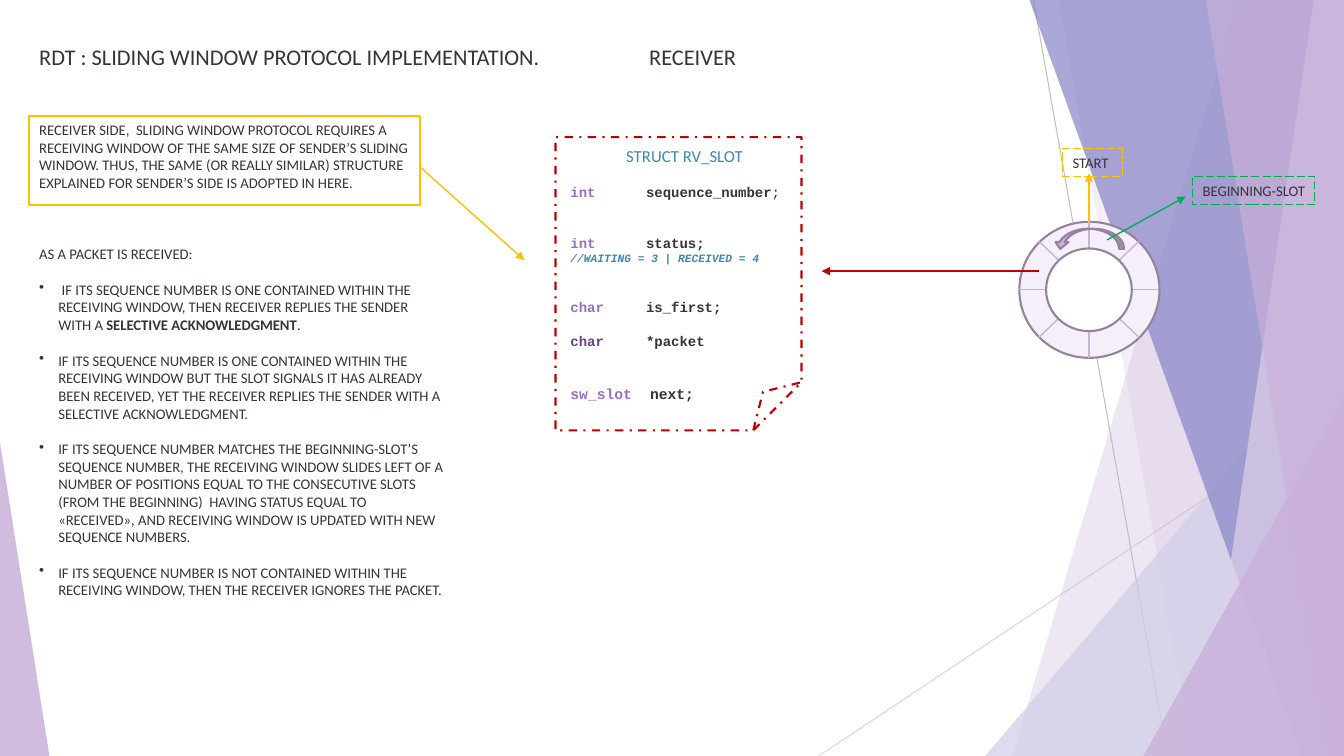
from dataclasses import dataclass

from lxml.etree import SubElement
from pptx import Presentation
from pptx.dml.color import RGBColor
from pptx.enum.dml import MSO_LINE
from pptx.enum.shapes import MSO_CONNECTOR, MSO_SHAPE
from pptx.enum.text import PP_ALIGN
from pptx.oxml.ns import qn
from pptx.util import Inches, Pt


@dataclass(frozen=True)
class Theme:
    ink: str = "393339"
    white: str = "FFFFFF"
    lilac: str = "CAB0DA"
    pale_lilac: str = "DFD0E9"
    mist: str = "D0CFE9"
    indigo: str = "8684C6"
    ring: str = "F4EFF8"
    ring_edge: str = "9582A1"
    grey: str = "BFBFBF"
    pale_grey: str = "D9D9D9"
    amber: str = "FFC000"
    red: str = "C00000"
    green: str = "00B050"
    blue: str = "3D88B1"
    keyword: str = "9D6DBB"
    dark_keyword: str = "6B3F86"
    sans: str = "Calibri"
    mono: str = "Courier New"
    title: float = 16
    heading: float = 12
    body: float = 10.5
    code: float = 10
    comment: float = 8


T = Theme()

INTRO = ("RECEIVER SIDE,  SLIDING WINDOW PROTOCOL REQUIRES A RECEIVING WINDOW OF THE SAME SIZE "
         "OF SENDER’S SLIDING WINDOW. THUS, THE SAME (OR REALLY SIMILAR) STRUCTURE EXPLAINED "
         "FOR SENDER’S SIDE IS ADOPTED IN HERE.")
CASES = [
    [(" IF ITS SEQUENCE NUMBER IS ONE CONTAINED WITHIN THE RECEIVING WINDOW, THEN RECEIVER "
      "REPLIES THE SENDER WITH A ", False), ("SELECTIVE ACKNOWLEDGMENT", True), (".", False)],
    [("IF ITS SEQUENCE NUMBER IS ONE CONTAINED WITHIN THE RECEIVING WINDOW BUT THE SLOT SIGNALS "
      "IT HAS ALREADY BEEN RECEIVED, YET THE RECEIVER REPLIES THE SENDER WITH A SELECTIVE "
      "ACKNOWLEDGMENT.", False)],
    [("IF ITS SEQUENCE NUMBER MATCHES THE BEGINNING-SLOT’S SEQUENCE NUMBER, THE RECEIVING WINDOW "
      "SLIDES LEFT OF A NUMBER OF POSITIONS EQUAL TO THE CONSECUTIVE SLOTS (FROM THE BEGINNING)  "
      "HAVING STATUS EQUAL TO «RECEIVED», AND RECEIVING WINDOW IS UPDATED WITH NEW SEQUENCE "
      "NUMBERS.", False)],
    [("IF ITS SEQUENCE NUMBER IS NOT CONTAINED WITHIN THE RECEIVING WINDOW, THEN THE RECEIVER "
      "IGNORES THE PACKET.", False)],
]


def rgb(color):
    return RGBColor.from_string(color)


def paint(shape, fill=None, line=None, width=1.5, alpha=None, dash=None):
    """Set fill, opacity in percent and outline; None means no fill or no line."""
    shape.shadow.inherit = False
    if fill:
        shape.fill.solid()
        shape.fill.fore_color.rgb = rgb(fill)
        if alpha:
            color = shape._element.spPr.find(qn("a:solidFill"))[0]
            SubElement(color, qn("a:alpha"), val=str(alpha * 1000))
    else:
        shape.fill.background()
    if line:
        shape.line.color.rgb = rgb(line)
        shape.line.width = Pt(width)
        if dash:
            shape.line.dash_style = dash
    else:
        shape.line.fill.background()


def set_adjustments(shape, guides):
    geometry = shape._element.spPr.find(qn("a:prstGeom"))
    for old in geometry.findall(qn("a:avLst")):
        geometry.remove(old)
    values = SubElement(geometry, qn("a:avLst"))
    for name, value in guides.items():
        SubElement(values, qn("a:gd"), name=name, fmla=f"val {round(value * 100000)}")


def add_shape(shapes, kind, box, guides=None, rotation=0, **style):
    sp = shapes.add_shape(kind, *map(Inches, box))
    if guides:
        set_adjustments(sp, guides)
    sp.rotation = rotation
    paint(sp, **style)
    return sp


def add_polygon(shapes, points, fill, alpha):
    start, *rest = [(Inches(x), Inches(y)) for x, y in points]
    builder = shapes.build_freeform(*start)
    builder.add_line_segments(rest, close=True)
    paint(builder.convert_to_shape(), fill, alpha=alpha)


def add_line(shapes, start, end, color, width=1.0, arrow=False):
    line = shapes.add_connector(MSO_CONNECTOR.STRAIGHT, *map(Inches, (*start, *end)))
    line.line.color.rgb = rgb(color)
    line.line.width = Pt(width)
    if arrow:
        SubElement(line._element.spPr.find(qn("a:ln")), qn("a:tailEnd"), type="triangle")
    SubElement(line._element.spPr, qn("a:effectLst"))


def add_text_box(shapes, box):
    tf = shapes.add_textbox(*map(Inches, box)).text_frame
    tf.word_wrap = True
    return tf


def add_run(p, text, size, color=T.ink, font=T.sans, bold=False, italic=False):
    r = p.add_run()
    r.text = text
    r.font.name, r.font.size = font, Pt(size)
    r.font.bold, r.font.italic = bold, italic
    r.font.color.rgb = rgb(color)


def next_paragraph(tf, gap):
    p = tf.add_paragraph()
    p.space_before = Pt(gap)
    return p


def set_bullet(p):
    pPr = p._p.get_or_add_pPr()
    pPr.set("marL", str(Inches(0.19)))
    pPr.set("indent", str(Inches(-0.19)))
    SubElement(pPr, qn("a:buChar"), char="•")


def set_tab(p, position):
    tabs = SubElement(p._p.get_or_add_pPr(), qn("a:tabLst"))
    SubElement(tabs, qn("a:tab"), pos=str(Inches(position)), algn="l")


def add_label(shapes, text, box, color):
    sp = add_shape(shapes, MSO_SHAPE.RECTANGLE, box, line=color, width=0.75,
                   dash=MSO_LINE.LONG_DASH)
    sp.text_frame.word_wrap = False
    p = sp.text_frame.paragraphs[0]
    p.alignment = PP_ALIGN.LEFT
    add_run(p, text, T.body)


def draw_backdrop(shapes):
    def band(top, bottom, fill, alpha):
        """Fill from a slanted left edge to the right side of the slide."""
        add_polygon(shapes, [(top, 0), (13.33, 0), (13.33, 7.5), (bottom, 7.5)], fill, alpha)

    def wedge(box, apex, fill, alpha):
        add_shape(shapes, MSO_SHAPE.ISOSCELES_TRIANGLE, box, {"adj": apex}, fill=fill, alpha=alpha)

    add_line(shapes, (10.25, 0), (11.58, 7.5), T.grey, 0.75)
    add_line(shapes, (13.33, 4.03), (8.12, 7.5), T.pale_grey, 0.75)
    band(12.28, 10.04, T.lilac, 30)
    band(10.5, 11.83, T.lilac, 20)
    wedge((9.77, 3.33, 3.56, 4.17), 1, T.mist, 72)
    band(10.21, 12.91, T.indigo, 70)
    band(13.03, 11.92, T.pale_lilac, 70)
    band(11.96, 13.18, T.lilac, 65)
    wedge((11.34, 3.93, 1.99, 3.57), 1, T.lilac, 80)
    wedge((0, 4.39, 0.49, 3.11), 0, T.lilac, 85)


def draw_ring(shapes):
    """Circular window of eight slots with its pointers."""
    cx, cy = 10.8, 2.87
    disc = MSO_SHAPE.FLOWCHART_CONNECTOR
    add_shape(shapes, disc, (10.13, 2.18, 1.35, 1.39), rotation=270, fill=T.ring, line=T.ring_edge)
    for dx, dy in ((0.5, -0.48), (0.7, 0), (0, -0.68), (0.5, 0.48)):
        add_line(shapes, (cx - dx, cy - dy), (cx + dx, cy + dy), T.lilac)
    add_shape(shapes, disc, (10.39, 2.45, 0.82, 0.85), rotation=270, fill=T.white, line=T.ring_edge)
    add_line(shapes, (cx, 2.2), (cx, 1.72), T.amber, arrow=True)
    add_label(shapes, "START", (10.54, 1.47, 0.59, 0.28), T.amber)
    add_shape(shapes, MSO_SHAPE.CURVED_RIGHT_ARROW, (10.7, 2.02, 0.2, 0.7),
              {"adj1": 0.25, "adj2": 0.654, "adj3": 0.341}, 90, fill=T.lilac, line=T.ring_edge)
    add_line(shapes, (10.31, 2.69), (8.15, 2.69), T.red, arrow=True)
    add_line(shapes, (10.98, 2.38), (11.76, 1.95), T.green, arrow=True)
    add_label(shapes, "BEGINNING-SLOT", (11.83, 1.75, 1.21, 0.28), T.green)


def draw_explanation(shapes):
    tf = add_text_box(shapes, (0.29, 1.15, 4.22, 6.11))
    add_run(tf.paragraphs[0], INTRO, T.body)
    add_run(next_paragraph(tf, 38.4), "AS A PACKET IS RECEIVED:", T.body)
    for case in CASES:
        p = next_paragraph(tf, 12.8)
        set_bullet(p)
        for text, bold in case:
            add_run(p, text, T.body, bold=bold)
    add_shape(shapes, MSO_SHAPE.RECTANGLE, (0.29, 1.15, 3.88, 0.88), line=T.amber)
    add_line(shapes, (4.17, 1.66), (5.2, 2.58), T.amber, arrow=True)


def draw_struct(shapes):
    add_shape(shapes, MSO_SHAPE.FOLDED_CORNER, (5.51, 1.36, 2.44, 2.91), {"adj": 0.196},
              line=T.red, dash=MSO_LINE.DASH_DOT)
    tf = add_text_box(shapes, (5.56, 1.4, 2.46, 3))
    p = tf.paragraphs[0]
    p.alignment = PP_ALIGN.CENTER
    add_run(p, "STRUCT RV_SLOT", T.heading, T.blue)

    def field(gap, kind, name, size=T.code, color=T.keyword, tab=0.75):
        p = next_paragraph(tf, gap)
        set_tab(p, tab)
        add_run(p, kind + "\t", size, color, T.mono, bold=True)
        add_run(p, name, size, T.ink, T.mono, bold=True)
        return p

    p = field(12.2, "int", "sequence_number")
    add_run(p, ";", T.code, font=T.mono)
    field(24.4, "int", "status;")
    add_run(next_paragraph(tf, 0), "//WAITING = 3 | RECEIVED = 4", T.comment, T.blue, T.mono,
            bold=True, italic=True)
    field(24.4, "char", "is_first;")
    field(12.2, "char", "*packet", color=T.dark_keyword)
    field(25.6, "sw_slot", "next;", T.body, tab=0.79)


def main():
    prs = Presentation()
    prs.slide_width, prs.slide_height = Inches(13.33), Inches(7.5)
    s = prs.slides.add_slide(prs.slide_layouts[6])
    draw_backdrop(s.shapes.add_group_shape().shapes)
    p = add_text_box(s.shapes, (0.29, 0.38, 9.48, 0.37)).paragraphs[0]
    set_tab(p, 6.05)
    add_run(p, "RDT : SLIDING WINDOW PROTOCOL IMPLEMENTATION.\tRECEIVER", T.title)
    draw_ring(s.shapes.add_group_shape().shapes)
    draw_explanation(s.shapes)
    draw_struct(s.shapes.add_group_shape().shapes)
    prs.save("out.pptx")


if __name__ == "__main__":
    main()
